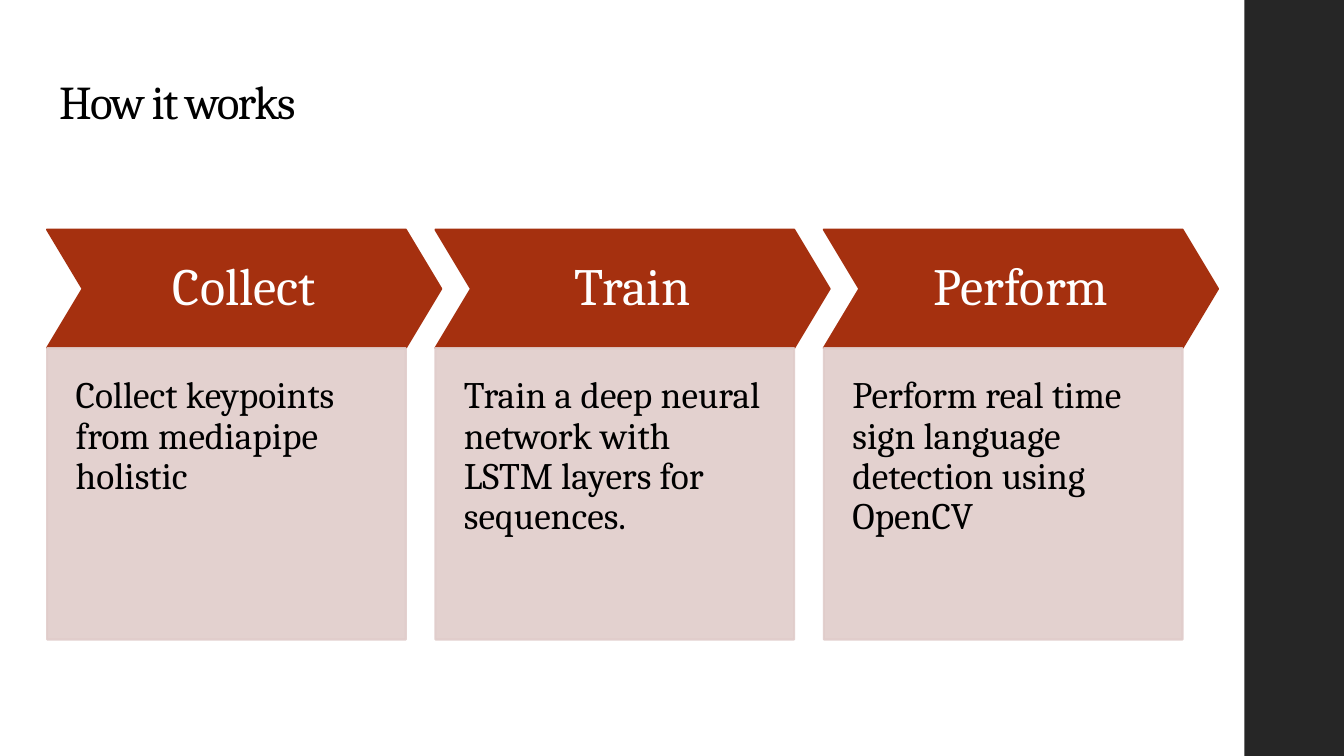
"""Build the "How it works" slide: three chevron steps, each above a panel."""
from lxml.etree import SubElement
from pptx import Presentation
from pptx.dml.color import RGBColor
from pptx.enum.shapes import MSO_SHAPE
from pptx.enum.text import MSO_ANCHOR, MSO_AUTO_SIZE, PP_ALIGN
from pptx.oxml.ns import qn
from pptx.util import Cm, Pt

TITLE = "How it works"
STEPS = [
    ("Collect", "Collect keypoints from mediapipe holistic", 3.45),
    ("Train", "Train a deep neural network with LSTM layers for sequences.", 4.98),
    ("Perform", "Perform real time sign language detection using OpenCV", 4.98),
]

FONT = "Cambria"
RUST, BLUSH, CHARCOAL = "A5300F", "E0CCCA", "262626"
BLACK, WHITE = "000000", "FFFFFF"

SLIDE_WIDTH, SLIDE_HEIGHT = 25.4, 14.29
SIDEBAR_LEFT = 23.52
LEFT, PITCH = 0.89, 7.34
CHEVRON_TOP, CHEVRON_WIDTH, CHEVRON_HEIGHT = 4.34, 7.45, 2.24
PANEL_TOP, PANEL_WIDTH, PANEL_HEIGHT = CHEVRON_TOP + CHEVRON_HEIGHT, 6.78, 5.51
LABEL_INDENT, LABEL_DROP = 0.66, 0.24


def color(hex_code):
    return RGBColor.from_string(hex_code)


def add_block(page, kind, area, fill, outlined=True, opacity=100):
    block = page.shapes.add_shape(kind, *map(Cm, area))
    block.shadow.inherit = False
    block.fill.solid()
    block.fill.fore_color.rgb = color(fill)
    if outlined:
        block.line.color.rgb = color(fill)
        block.line.width = Pt(1.1)
    else:
        block.line.fill.background()
    if opacity < 100:
        for tone in block._element.spPr.iter(qn("a:srgbClr")):
            SubElement(tone, qn("a:alpha"), val=str(opacity * 1000))
    return block


def add_text(page, area, text, size, tint, inset,
             align=PP_ALIGN.LEFT, anchor=MSO_ANCHOR.TOP, grow=True):
    frame = page.shapes.add_textbox(*map(Cm, area)).text_frame
    frame.word_wrap = True
    frame.auto_size = MSO_AUTO_SIZE.SHAPE_TO_FIT_TEXT if grow else MSO_AUTO_SIZE.NONE
    frame.vertical_anchor = anchor
    frame.margin_left = frame.margin_right = Cm(inset)
    frame.margin_top = frame.margin_bottom = Cm(inset)
    para = frame.paragraphs[0]
    para.text = text
    para.alignment = align
    para.line_spacing = 0.9
    para.font.name = FONT
    para.font.size = Pt(size)
    para.font.color.rgb = color(tint)
    return para


def add_step(page, index, label, detail, detail_height):
    left = LEFT + index * PITCH
    chevron = add_block(page, MSO_SHAPE.CHEVRON,
                        (left, CHEVRON_TOP, CHEVRON_WIDTH, CHEVRON_HEIGHT), RUST)
    chevron.adjustments[0] = 0.3
    label_area = (left + LABEL_INDENT, CHEVRON_TOP + LABEL_DROP,
                  CHEVRON_WIDTH - 2 * LABEL_INDENT, CHEVRON_HEIGHT - 2 * LABEL_DROP)
    add_text(page, label_area, label, 28, WHITE, 0.28, PP_ALIGN.CENTER, MSO_ANCHOR.MIDDLE)
    add_block(page, MSO_SHAPE.RECTANGLE,
              (left, PANEL_TOP, PANEL_WIDTH, PANEL_HEIGHT), BLUSH, opacity=90)
    add_text(page, (left, PANEL_TOP, PANEL_WIDTH, detail_height), detail, 20, BLACK, 0.54)


def main():
    deck = Presentation()
    deck.slide_width, deck.slide_height = Cm(SLIDE_WIDTH), Cm(SLIDE_HEIGHT)
    page = deck.slides.add_slide(deck.slide_layouts[6])
    add_block(page, MSO_SHAPE.RECTANGLE,
              (SIDEBAR_LEFT, 0, SLIDE_WIDTH - SIDEBAR_LEFT, SLIDE_HEIGHT),
              CHARCOAL, outlined=False)
    title = add_text(page, (0.87, 1.24, 23.67, 1.6), TITLE, 25.2, BLACK, 0.25, grow=False)
    title.runs[0].font._element.set("spc", "-90")
    for index, step in enumerate(STEPS):
        add_step(page, index, *step)
    deck.save("out.pptx")


if __name__ == "__main__":
    main()
